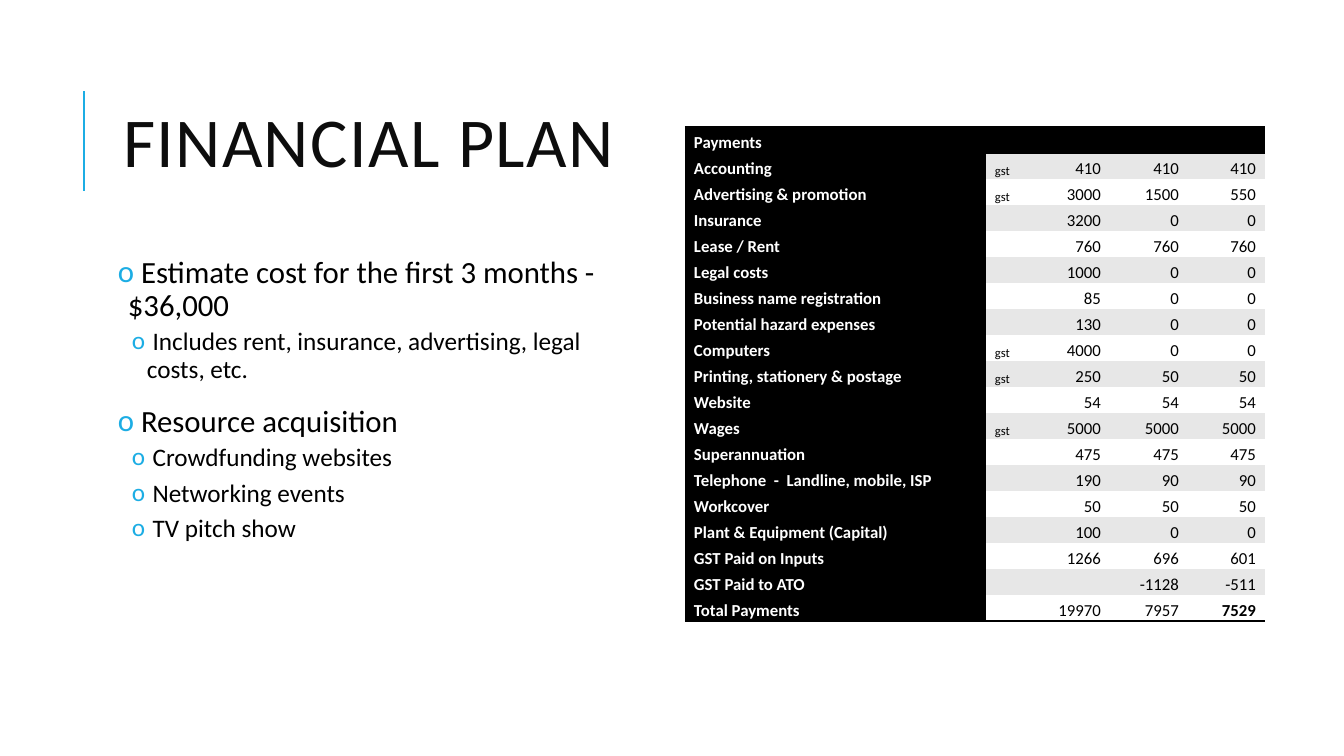
from dataclasses import dataclass

from lxml.etree import SubElement
from pptx import Presentation
from pptx.dml.color import RGBColor
from pptx.enum.shapes import MSO_CONNECTOR
from pptx.enum.text import MSO_ANCHOR, MSO_AUTO_SIZE, PP_ALIGN
from pptx.oxml.ns import qn
from pptx.util import Emu, Pt


@dataclass(frozen=True)
class Theme:
    font: str = "Calibri"
    accent: str = "1CADE4"
    title: str = "0D0D0D"
    black: str = "000000"
    white: str = "FFFFFF"
    band: str = "E7E7E7"
    title_size: int = 50
    point_size: int = 22
    detail_size: int = 18
    table_size: int = 12
    tax_size: int = 9


@dataclass(frozen=True)
class Level:
    depth: int
    size: int
    margin: int
    hanging: int
    before: int
    after: int


@dataclass(frozen=True)
class Bullet:
    text: str
    level: Level


@dataclass(frozen=True)
class Payment:
    label: str
    tax: str = ""
    months: tuple = ("", "", "")


THEME = Theme()
POINT = Level(0, THEME.point_size, 10, 10, 12, 2)
DETAIL = Level(1, THEME.detail_size, 29, 15, 2, 4)
COLUMNS = (301, 46, 78, 78, 77)
ROW_HEIGHT = 26
NO_TABLE_STYLE = "{2D5ABB26-0587-4C30-8999-92F81FD0307C}"

BULLETS = (
    Bullet(" Estimate cost for the first 3 months - $36,000", POINT),
    Bullet(" Includes rent, insurance, advertising, legal costs, etc.", DETAIL),
    Bullet(" Resource acquisition", POINT),
    Bullet(" Crowdfunding websites", DETAIL),
    Bullet(" Networking events", DETAIL),
    Bullet(" TV pitch show", DETAIL),
)

PAYMENTS = (
    Payment("Payments"),
    Payment("Accounting", "gst", (410, 410, 410)),
    Payment("Advertising & promotion", "gst", (3000, 1500, 550)),
    Payment("Insurance", "", (3200, 0, 0)),
    Payment("Lease / Rent", "", (760, 760, 760)),
    Payment("Legal costs", "", (1000, 0, 0)),
    Payment("Business name registration", "", (85, 0, 0)),
    Payment("Potential hazard expenses", "", (130, 0, 0)),
    Payment("Computers", "gst", (4000, 0, 0)),
    Payment("Printing, stationery & postage", "gst", (250, 50, 50)),
    Payment("Website", "", (54, 54, 54)),
    Payment("Wages", "gst", (5000, 5000, 5000)),
    Payment("Superannuation", "", (475, 475, 475)),
    Payment("Telephone  -  Landline, mobile, ISP", "", (190, 90, 90)),
    Payment("Workcover", "", (50, 50, 50)),
    Payment("Plant & Equipment (Capital)", "", (100, 0, 0)),
    Payment("GST Paid on Inputs", "", (1266, 696, 601)),
    Payment("GST Paid to ATO", "", ("", -1128, -511)),
    Payment("Total Payments", "", (19970, 7957, 7529)),
)


def px(length: int) -> Emu:
    return Emu(round(length * 914400 / 100.8))


def write_text(para, text: str, *, size: int, color: str, bold: bool = False,
               align=PP_ALIGN.LEFT, line_spacing: float = 1.0, tracking: int = 0) -> None:
    para.alignment = align
    para.line_spacing = line_spacing
    if not text:
        SubElement(para._p, qn("a:endParaRPr"), sz=str(size * 100))
        return
    span = para.add_run()
    span.text = text
    span.font.name = THEME.font
    span.font.size = Pt(size)
    span.font.bold = bold
    span.font.color.rgb = RGBColor.from_string(color)
    if tracking:
        span.font._element.set("spc", str(tracking * 100))


def place(shape, left: int, top: int, width: int, height: int) -> None:
    shape.left, shape.top, shape.width, shape.height = map(px, (left, top, width, height))


def add_title(page) -> None:
    title = page.shapes.title
    place(title, 113, 65, 1071, 165)
    frame = title.text_frame
    frame.auto_size = MSO_AUTO_SIZE.NONE
    frame.vertical_anchor = MSO_ANCHOR.MIDDLE
    write_text(frame.paragraphs[0], "FINANCIAL PLAN", size=THEME.title_size,
               color=THEME.title, line_spacing=0.8, tracking=1)


def add_title_rule(page) -> None:
    rule = page.shapes.add_connector(MSO_CONNECTOR.STRAIGHT, px(84), px(191), px(84), px(91))
    rule.line.color.rgb = RGBColor.from_string(THEME.accent)
    rule.line.width = Pt(1.5)
    SubElement(rule._element.spPr, qn("a:effectLst"))


def add_bullet_mark(para, level: Level) -> None:
    properties = para._p.get_or_add_pPr()
    properties.set("marL", str(px(level.margin)))
    properties.set("indent", str(px(-level.hanging)))
    mark_color = SubElement(properties, qn("a:buClr"))
    SubElement(mark_color, qn("a:srgbClr"), val=THEME.accent)
    SubElement(properties, qn("a:buFont"), typeface=THEME.font)
    SubElement(properties, qn("a:buChar"), char="o")


def add_bullets(page) -> None:
    box = page.shapes.add_textbox(px(113), px(252), px(524), px(444))
    frame = box.text_frame
    frame.word_wrap = True
    frame.margin_left = frame.margin_right = frame.margin_top = frame.margin_bottom = px(5)
    for index, bullet in enumerate(BULLETS):
        para = frame.add_paragraph() if index else frame.paragraphs[0]
        para.level = bullet.level.depth
        add_bullet_mark(para, bullet.level)
        para.space_before = Pt(bullet.level.before if index else 0)
        para.space_after = Pt(bullet.level.after)
        write_text(para, bullet.text, size=bullet.level.size, color=THEME.black,
                   line_spacing=0.9)


def add_border(cell, side: str) -> None:
    border = SubElement(cell._tc.get_or_add_tcPr(), qn(f"a:{side}"), w=str(Pt(2)))
    SubElement(SubElement(border, qn("a:solidFill")), qn("a:srgbClr"), val=THEME.black)


def fill_cell(cell, text: str, row: int, column: int) -> None:
    last_row = len(PAYMENTS) - 1
    dark = row == 0 or column == 0
    cell.margin_left = cell.margin_right = px(9)
    cell.margin_top = cell.margin_bottom = 0
    cell.vertical_anchor = MSO_ANCHOR.BOTTOM
    if row == 0:
        add_border(cell, "lnT")
    if row in (0, last_row):
        add_border(cell, "lnB")
    cell.fill.solid()
    background = THEME.black if dark else THEME.band if row % 2 else THEME.white
    cell.fill.fore_color.rgb = RGBColor.from_string(background)
    write_text(cell.text_frame.paragraphs[0], text,
               size=THEME.tax_size if column == 1 else THEME.table_size,
               color=THEME.white if dark else THEME.black,
               bold=dark or (row == last_row and column == len(COLUMNS) - 1),
               align=PP_ALIGN.RIGHT if column > 1 else PP_ALIGN.LEFT,
               line_spacing=1.15)


def add_payments(page) -> None:
    frame = page.shapes.add_table(len(PAYMENTS), len(COLUMNS), px(685), px(127),
                                  px(sum(COLUMNS)), px(ROW_HEIGHT * len(PAYMENTS)))
    table = frame.table
    table.first_row = table.horz_banding = False
    table._tbl.tblPr.find(qn("a:tableStyleId")).text = NO_TABLE_STYLE
    for column, width in zip(table.columns, COLUMNS):
        column.width = px(width)
    for row, payment in enumerate(PAYMENTS):
        table.rows[row].height = px(ROW_HEIGHT)
        for column, value in enumerate((payment.label, payment.tax, *payment.months)):
            fill_cell(table.cell(row, column), str(value), row, column)


def main() -> None:
    deck = Presentation()
    deck.slide_width, deck.slide_height = px(1344), px(756)
    page = deck.slides.add_slide(deck.slide_layouts[5])
    add_title_rule(page)
    add_title(page)
    add_bullets(page)
    add_payments(page)
    deck.save("out.pptx")


if __name__ == "__main__":
    main()
